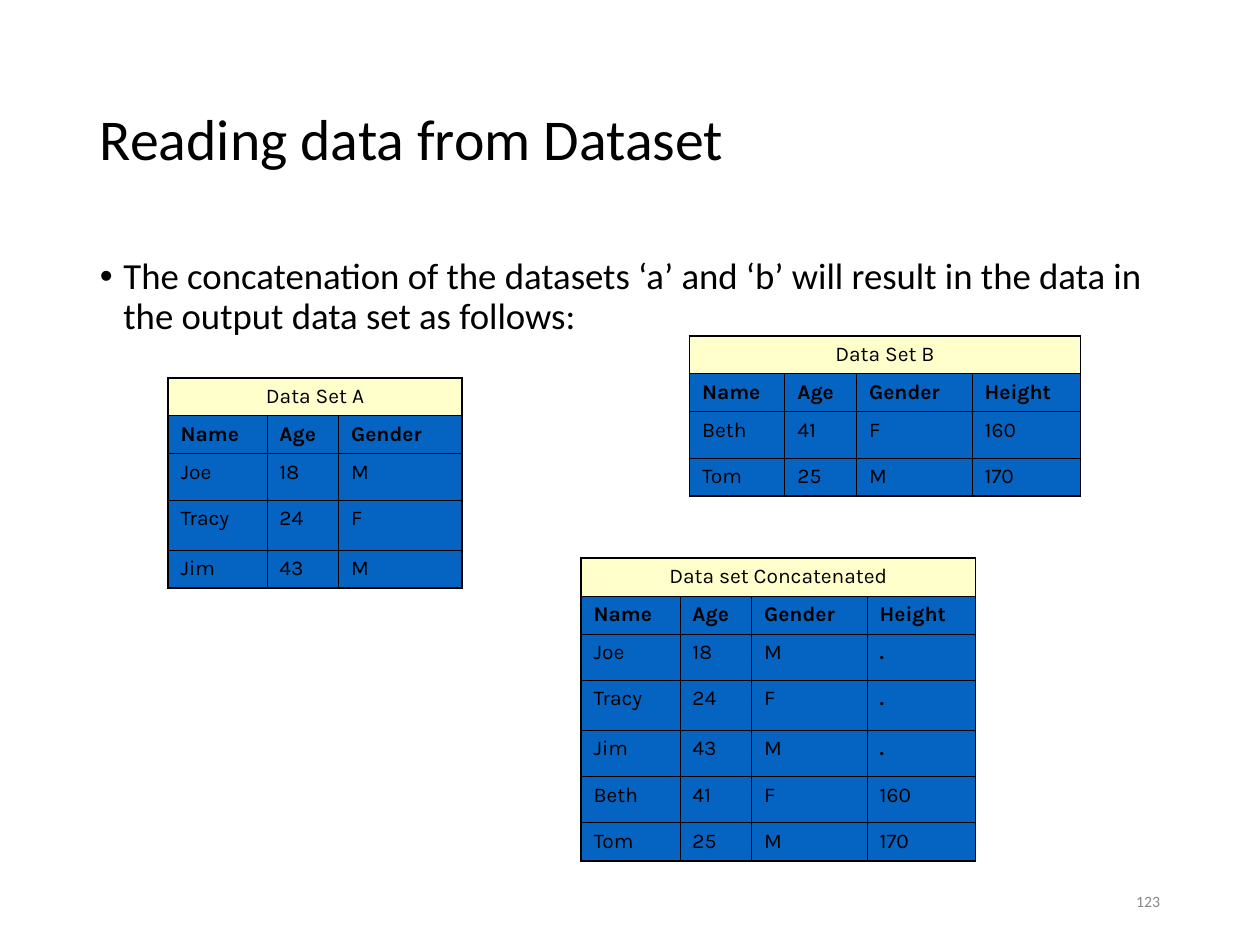
from lxml.etree import SubElement
from pptx import Presentation
from pptx.dml.color import RGBColor
from pptx.enum.text import MSO_ANCHOR, PP_ALIGN
from pptx.oxml.ns import qn
from pptx.util import Pt

BLACK = RGBColor(0x00, 0x00, 0x00)
GREY = RGBColor(0x89, 0x89, 0x89)
BLUE = RGBColor(0x05, 0x63, 0xC1)
CREAM = RGBColor(0xFF, 0xFF, 0xCC)
OUTER, INNER = 1.08, 0.45
HEADER_HEIGHT, ROW_HEIGHT, TALL_HEIGHT = 21.6, 26.5, 28.5

deck = Presentation()
deck.slide_width, deck.slide_height = Pt(720), Pt(540)
slide = deck.slides.add_slide(deck.slide_layouts[6])


def add_text(left, top, width, height, text, size, color, anchor):
    frame = slide.shapes.add_textbox(Pt(left), Pt(top), Pt(width), Pt(height)).text_frame
    frame.word_wrap = True
    frame.vertical_anchor = anchor
    frame.text = text
    paragraph = frame.paragraphs[0]
    font = paragraph.runs[0].font
    font.name, font.size, font.color.rgb = "Calibri", Pt(size), color
    return paragraph


def style_cell(cell, fill, widths):
    """Set the borders (left, right, top, bottom), then the fill and the font."""
    properties = cell._tc.get_or_add_tcPr()
    for side, width in zip(("lnL", "lnR", "lnT", "lnB"), widths):
        line = SubElement(properties, qn(f"a:{side}"), w=str(Pt(width)))
        SubElement(SubElement(line, qn("a:solidFill")), qn("a:srgbClr"), val=str(BLACK))
    cell.fill.solid()
    cell.fill.fore_color.rgb = fill
    for run in cell.text_frame.paragraphs[0].runs:
        run.font.name, run.font.size = "Karla", Pt(12)
        run.font.color.rgb = BLACK


title = add_text(50, 29, 621, 104, "Reading data from Dataset", 33, BLACK, MSO_ANCHOR.MIDDLE)
title.line_spacing = 0.9

statement = add_text(
    50, 144, 621, 343,
    "The concatenation of the datasets ‘a’ and ‘b’ will result in the data in "
    "the output data set as follows:",
    21, BLACK, MSO_ANCHOR.TOP)
statement.line_spacing = 0.9
indents = statement._p.get_or_add_pPr()
indents.set("marL", str(Pt(13.5)))
indents.set("indent", str(Pt(-13.5)))
SubElement(indents, qn("a:buFont"), typeface="Arial")
SubElement(indents, qn("a:buChar"), char="•")

page_number = add_text(508, 500.5, 162, 29, "123", 9, GREY, MSO_ANCHOR.MIDDLE)
page_number.alignment = PP_ALIGN.RIGHT

people_a = [("Joe", "18", "M"), ("Tracy", "24", "F"), ("Jim", "43", "M")]
people_b = [("Beth", "41", "F", "160"), ("Tom", "25", "M", "170")]
concatenated = [person + (".",) for person in people_a] + people_b
headings = ("Name", "Age", "Gender", "Height")

datasets = [
    ("Data Set A", 96, 216, (56.5, 41, 70.5), people_a),
    ("Data Set B", 394, 192, (54.5, 41, 66, 62), people_b),
    ("Data set Concatenated", 332, 319, (56.5, 41, 66, 62), concatenated),
]
for caption, left, top, column_widths, people in datasets:
    column_count = len(column_widths)
    records = [headings[:column_count]] + people
    heights = [HEADER_HEIGHT] * 2
    heights += [TALL_HEIGHT if person[0] == "Tracy" else ROW_HEIGHT for person in people[:-1]]
    heights.append(HEADER_HEIGHT)

    table = slide.shapes.add_table(
        len(heights), column_count, Pt(left), Pt(top),
        Pt(sum(column_widths)), Pt(sum(heights))).table
    table.first_row = table.horz_banding = False
    for column, width in zip(table.columns, column_widths):
        column.width = Pt(width)
    for row, height in zip(table.rows, heights):
        row.height = Pt(height)

    caption_cell = table.cell(0, 0)
    caption_cell.merge(table.cell(0, column_count - 1))
    caption_cell.text_frame.text = caption
    caption_cell.text_frame.paragraphs[0].alignment = PP_ALIGN.CENTER
    for column in range(column_count):
        style_cell(table.cell(0, column), CREAM, (OUTER, OUTER, OUTER, INNER))

    for row, record in enumerate(records, start=1):
        for column, value in enumerate(record):
            cell = table.cell(row, column)
            cell.text_frame.text = value
            style_cell(cell, BLUE, (
                OUTER if column == 0 else INNER,
                OUTER if column == column_count - 1 else INNER,
                INNER,
                OUTER if row == len(records) else INNER))
            cell.text_frame.paragraphs[0].runs[0].font.bold = row == 1 or value == "."

deck.save("out.pptx")
